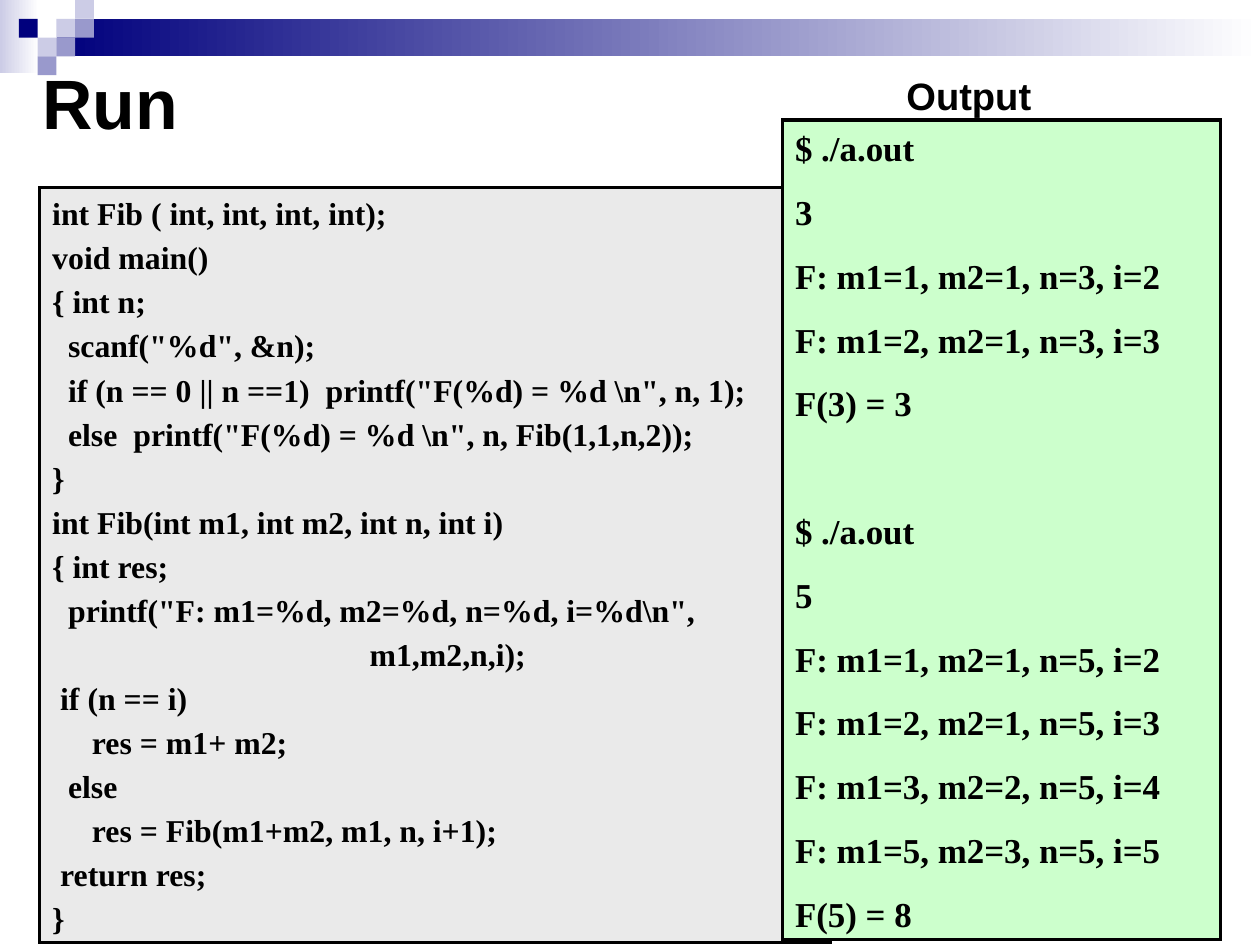
from lxml.etree import SubElement
from pptx import Presentation
from pptx.dml.color import RGBColor
from pptx.enum.shapes import MSO_SHAPE
from pptx.enum.text import MSO_ANCHOR, MSO_AUTO_SIZE, PP_ALIGN
from pptx.oxml.ns import qn
from pptx.util import Pt

CODE = r'''int Fib ( int, int, int, int);
void main()
{ int n;
  scanf("%d", &n);
  if (n == 0 || n ==1)  printf("F(%d) = %d \n", n, 1);
  else  printf("F(%d) = %d \n", n, Fib(1,1,n,2));
}
int Fib(int m1, int m2, int n, int i)
{ int res;
  printf("F: m1=%d, m2=%d, n=%d, i=%d\n",
                                        m1,m2,n,i);
 if (n == i)
     res = m1+ m2;
  else
     res = Fib(m1+m2, m1, n, i+1);
 return res;
}'''.split("\n")
RUNS = [
    ["$ ./a.out", "3", "F: m1=1, m2=1, n=3, i=2", "F: m1=2, m2=1, n=3, i=3", "F(3) = 3"],
    ["$ ./a.out", "5", "F: m1=1, m2=1, n=5, i=2", "F: m1=2, m2=1, n=5, i=3",
     "F: m1=3, m2=2, n=5, i=4", "F: m1=5, m2=3, n=5, i=5", "F(5) = 8"],
]
WIDE, HIGH = 793.75, 595.25
BANDS = [
    ((0, 0, 24.5, 46), "CCCCE6"),
    ((36, 11.8, WIDE - 36, 23.6), "00007D"),
]
TILES = [
    (3, 1, "CCCCE6"), (4, 0, "CCCCE6"), (4, 1, "9999CC"), (2, 2, "CCCCE6"),
    (1, 1, "00007D"), (3, 2, "9999CC"), (2, 3, "9999CC"),
]
STEP = 11.85
SERIF, SANS = "Times New Roman", "Arial"


def color(text):
    return RGBColor.from_string(text)


def block(slide, place):
    shape = slide.shapes.add_shape(MSO_SHAPE.RECTANGLE, *map(Pt, place))
    shape.shadow.inherit = False
    shape.line.fill.background()
    return shape


def paint(shape, tint):
    shape.fill.solid()
    shape.fill.fore_color.rgb = color(tint)


def fade(shape, tint):
    shape.fill.gradient()
    shape.fill.gradient_angle = 0
    for stop, shade, spot in zip(shape.fill.gradient_stops, (tint, "FFFFFF"), (0, 1)):
        stop.color.rgb = color(shade)
        stop.position = spot


def write(shape, lines, face, size, pad=(7.9, 4.3), anchor=MSO_ANCHOR.TOP):
    frame = shape.text_frame
    frame.word_wrap = True
    frame.auto_size = MSO_AUTO_SIZE.NONE
    frame.vertical_anchor = anchor
    frame.margin_left = frame.margin_right = Pt(pad[0])
    frame.margin_top = frame.margin_bottom = Pt(pad[1])
    for row, (text, gap) in enumerate(lines):
        para = frame.paragraphs[0] if row == 0 else frame.add_paragraph()
        para.text = text
        para.alignment = PP_ALIGN.LEFT
        para.space_before = Pt(gap if row else 0)
        font = para.font
        font.name, font.size, font.bold = face, Pt(size), True
        font.color.rgb = color("000000")


def panel(slide, place, tint, lines, size):
    shape = block(slide, place)
    paint(shape, tint)
    shape.line.color.rgb = color("000000")
    shape.line.width = Pt(2)
    edge = shape.element.spPr.find(qn("a:ln"))
    SubElement(edge, qn("a:miter"), lim="800000")
    write(shape, lines, SERIF, size)


def main():
    deck = Presentation()
    deck.slide_width, deck.slide_height = Pt(WIDE), Pt(HIGH)
    slide = deck.slides.add_slide(deck.slide_layouts[5])

    for place, tint in BANDS:
        fade(block(slide, place), tint)
    for col, row, tint in TILES:
        paint(block(slide, (col * STEP, row * STEP, STEP, STEP)), tint)

    title = slide.shapes.title
    title.left, title.top, title.width, title.height = map(Pt, (18.7, 33.8, 749.5, 60.5))
    write(title, [("Run", 0)], SANS, 44, anchor=MSO_ANCHOR.MIDDLE)

    panel(slide, (25, 118, 498.2, 475.9), "EAEAEA", [(line, 3.7) for line in CODE], 20)
    prints = [(line, 13.8 if row else 53.9) for run in RUNS for row, line in enumerate(run)]
    panel(slide, (493, 75.6, 275.8, 516.2), "CCFFCC", prints, 22)

    label = slide.shapes.add_textbox(*map(Pt, (571, 45.4, 102.2, 28.8)))
    write(label, [("Output", 0)], SANS, 24, (0, 0))
    deck.save("out.pptx")


if __name__ == "__main__":
    main()
